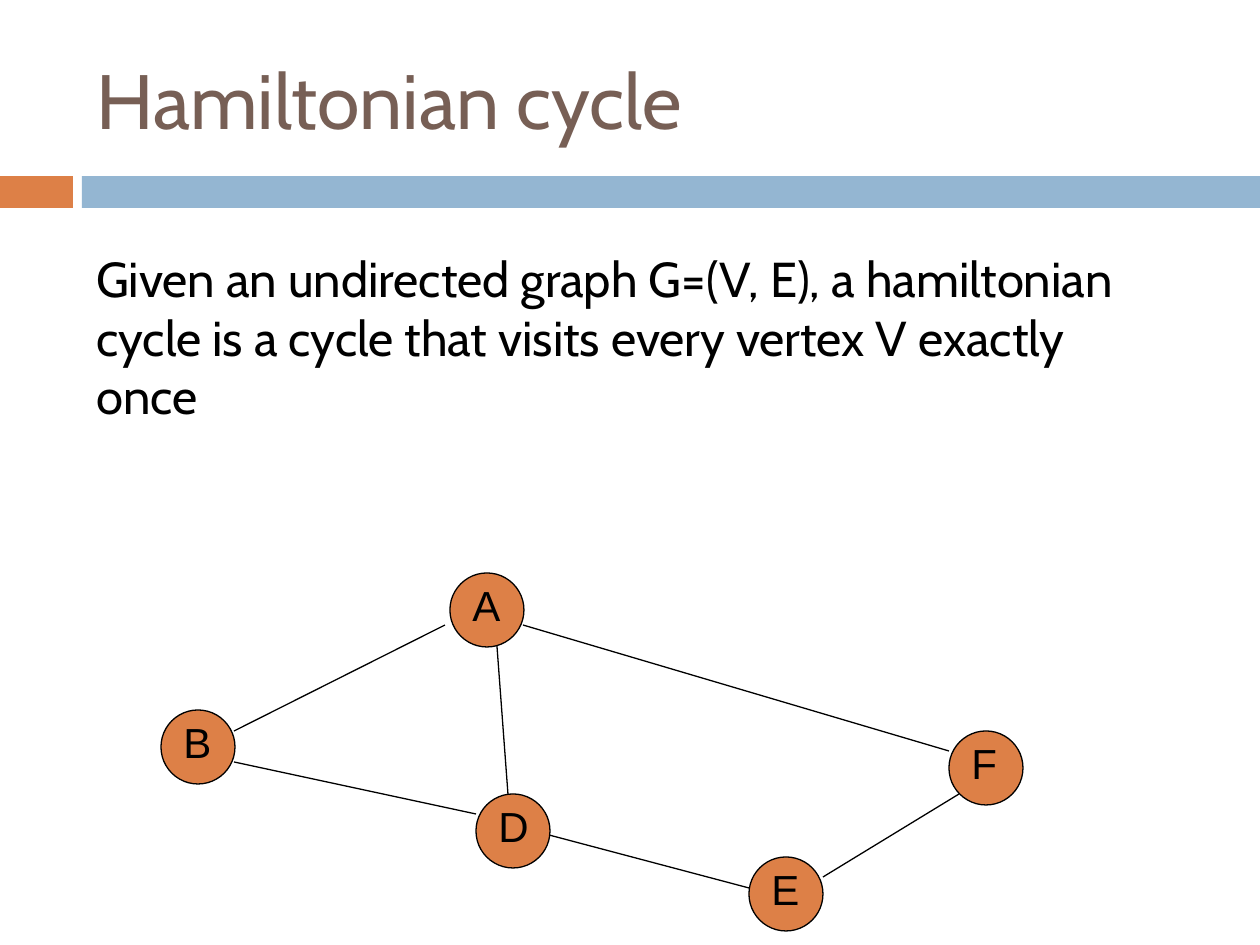
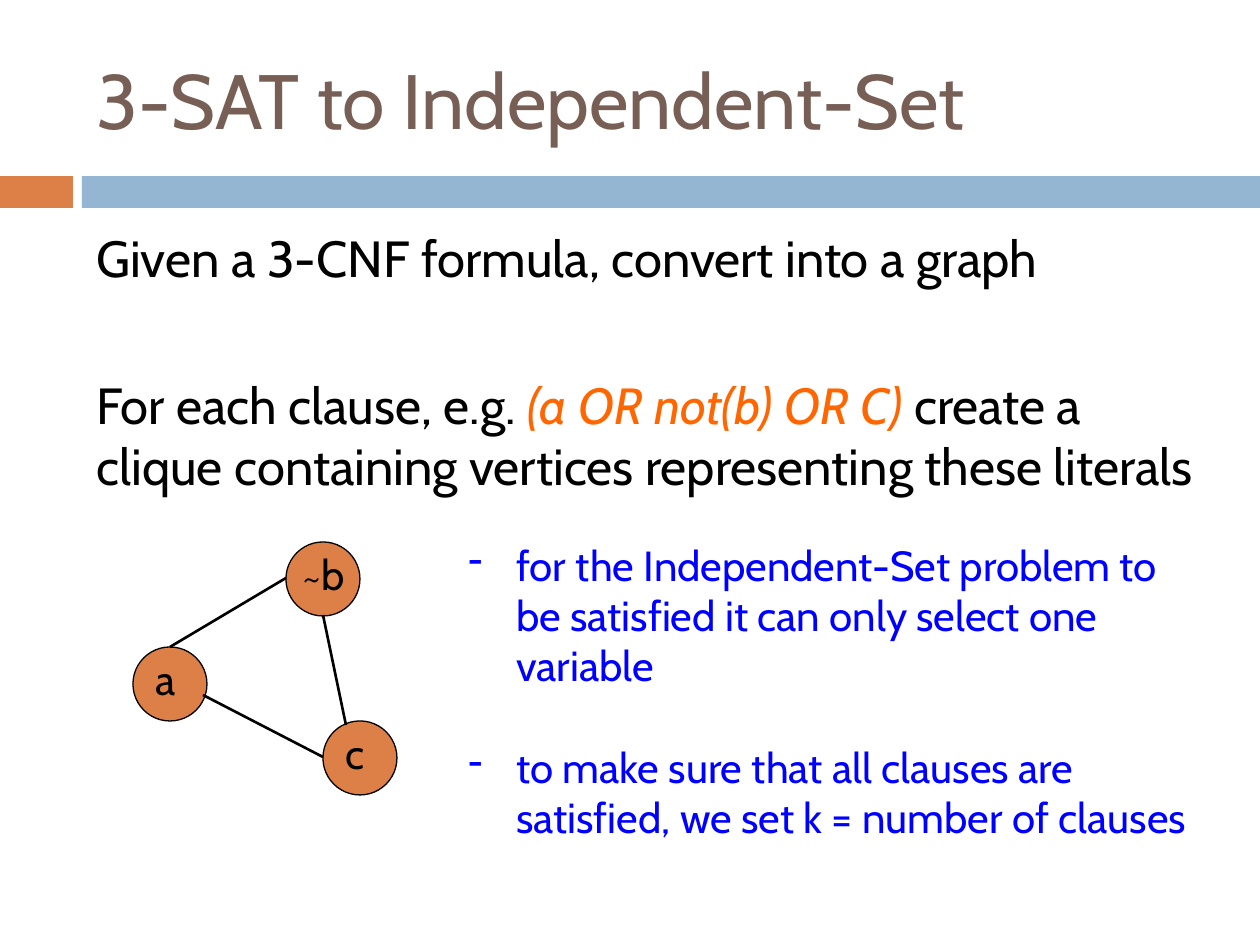
from lxml.etree import SubElement
from pptx import Presentation
from pptx.dml.color import RGBColor
from pptx.enum.shapes import MSO_CONNECTOR as Connector, MSO_SHAPE as Preset
from pptx.enum.text import MSO_ANCHOR as Anchor, MSO_AUTO_SIZE as AutoSize, PP_ALIGN as Align
from pptx.oxml.ns import qn
from pptx.util import Pt

SCALE = 914400 / 126  # EMU in one pixel
COLORS = {
    "orange": "DD8047",
    "band": "94B6D2",
    "title": "775F55",
    "text": "000000",
    "clause": "FF6600",
    "note": "0000FF",
}
BODY_FONT = "Cabin"
NODE_SIZE = 74


def px(length):
    return round(length * SCALE)


def color(name):
    return RGBColor.from_string(COLORS[name])


class Builder:
    """Holds the deck style and the current slide."""

    def __init__(self):
        self.deck = Presentation()
        self.deck.slide_width, self.deck.slide_height = px(1260), px(945)
        self.page = None

    def new_page(self, title):
        self.page = self.deck.slides.add_slide(self.deck.slide_layouts[5])
        self.shape(self.page.shapes, Preset.RECTANGLE, (0, 176, 73, 32), "orange")
        self.shape(self.page.shapes, Preset.RECTANGLE, (82, 176, 1178, 32), "band")
        box = self.page.shapes.title
        box.left, box.top, box.width, box.height = map(px, (84, 31, 1124, 136))
        self.frame(box, Anchor.MIDDLE)
        self.fill_para(box.text_frame.paragraphs[0], [(title, {})], 44, "title")

    def shape(self, parent, preset, area, fill, outline=None):
        item = parent.add_shape(preset, *map(px, area))
        item.shadow.inherit = False
        item.fill.solid()
        item.fill.fore_color.rgb = color(fill)
        if outline:
            item.line.color.rgb = color(outline)
            item.line.width = Pt(0.75)
        else:
            item.line.fill.background()

    def frame(self, box, anchor=Anchor.TOP):
        settings = {"word_wrap": True, "auto_size": AutoSize.NONE, "vertical_anchor": anchor}
        for name, value in settings.items():
            setattr(box.text_frame, name, value)

    def fill_para(self, para, spans, size, ink, font=BODY_FONT):
        para.alignment = Align.LEFT
        for words, extra in spans:
            span = para.add_run()
            span.text = words
            span.font.color.rgb = color(extra.get("ink", ink))
            look = {"name": font, "size": Pt(size), "italic": extra.get("italic", False)}
            for name, value in look.items():
                setattr(span.font, name, value)

    def text(self, area, paragraphs, size, ink="text", font=BODY_FONT, gap=0, bullet=None, parent=None):
        """Add paragraphs, each a list of (words, extra) spans, with a gap in points between."""
        box = (parent or self.page.shapes).add_textbox(*map(px, area))
        self.frame(box)
        for index, spans in enumerate(paragraphs):
            para = box.text_frame.paragraphs[0] if index == 0 else box.text_frame.add_paragraph()
            para.space_before = Pt(gap if index else 0)
            self.fill_para(para, spans, size, ink, font)
            if bullet:
                self.bullet(para, bullet)

    def bullet(self, para, mark):
        settings = para._p.get_or_add_pPr()
        settings.set("marL", str(px(48)))
        settings.set("indent", str(-px(48)))
        SubElement(settings, qn("a:buChar")).set("char", mark)

    def node(self, label, left, top, font=BODY_FONT, inset=10, width=63):
        group = self.page.shapes.add_group_shape().shapes
        self.shape(group, Preset.OVAL, (left, top, NODE_SIZE, NODE_SIZE), "orange", "text")
        self.text((left + inset, top, width, 63), [[(label, {})]], 24, font=font, parent=group)

    def edge(self, ends, weight):
        line = self.page.shapes.add_connector(Connector.STRAIGHT, *map(px, ends))
        line.line.color.rgb = color("text")
        line.line.width = Pt(weight)
        SubElement(line._element.spPr, qn("a:effectLst"))


show = Builder()

# Slide 1: definition and sample graph
show.new_page("Hamiltonian cycle")
show.text((84, 242, 1066, 131), [[(
    "Given an undirected graph G=(V, E), a hamiltonian cycle is a cycle "
    "that visits every vertex V exactly once", {})]], 28)

cycle_nodes = {"A": (450, 573), "B": (161, 710), "E": (749, 857), "D": (476, 794), "F": (949, 731)}
for label, place in cycle_nodes.items():
    show.node(label, *place, font="Arial")

cycle_edges = [
    (234, 731, 445, 625),  # B to A
    (234, 762, 476, 814),  # B to D
    (508, 794, 497, 646),  # D to A
    (549, 835, 749, 888),  # D to E
    (823, 877, 959, 794),  # E to F
    (523, 625, 949, 751),  # A to F
]
for ends in cycle_edges:
    show.edge(ends, 0.75)

# Slide 2: reduction with a clause triangle
show.new_page("3-SAT to Independent-Set")
show.text((84, 221, 1124, 315), [
    [("Given a 3-CNF formula, convert into a graph", {})],
    [
        ("For each clause, e.g. ", {}),
        ("(a OR not(b) OR C) ", {"ink": "clause", "italic": True}),
        ("create a clique containing vertices representing these literals", {}),
    ],
], 29, gap=49)

show.node("a", 133, 647)
show.node("~b", 286, 542, inset=4, width=106)
show.node("c", 323, 721)

clause_edges = [
    (170, 647, 286, 578),  # a to ~b
    (203, 695, 323, 757),  # a to c
    (323, 615, 346, 725),  # ~b to c
]
for ends in clause_edges:
    show.edge(ends, 1.5)

show.text((456, 533, 751, 267), [
    [("for the Independent-Set problem to be satisfied it can only select one variable", {})],
    [("to make sure that all clauses are satisfied, we set k = number of clauses", {})],
], 24, "note", gap=29, bullet="-")

show.deck.save("out.pptx")
